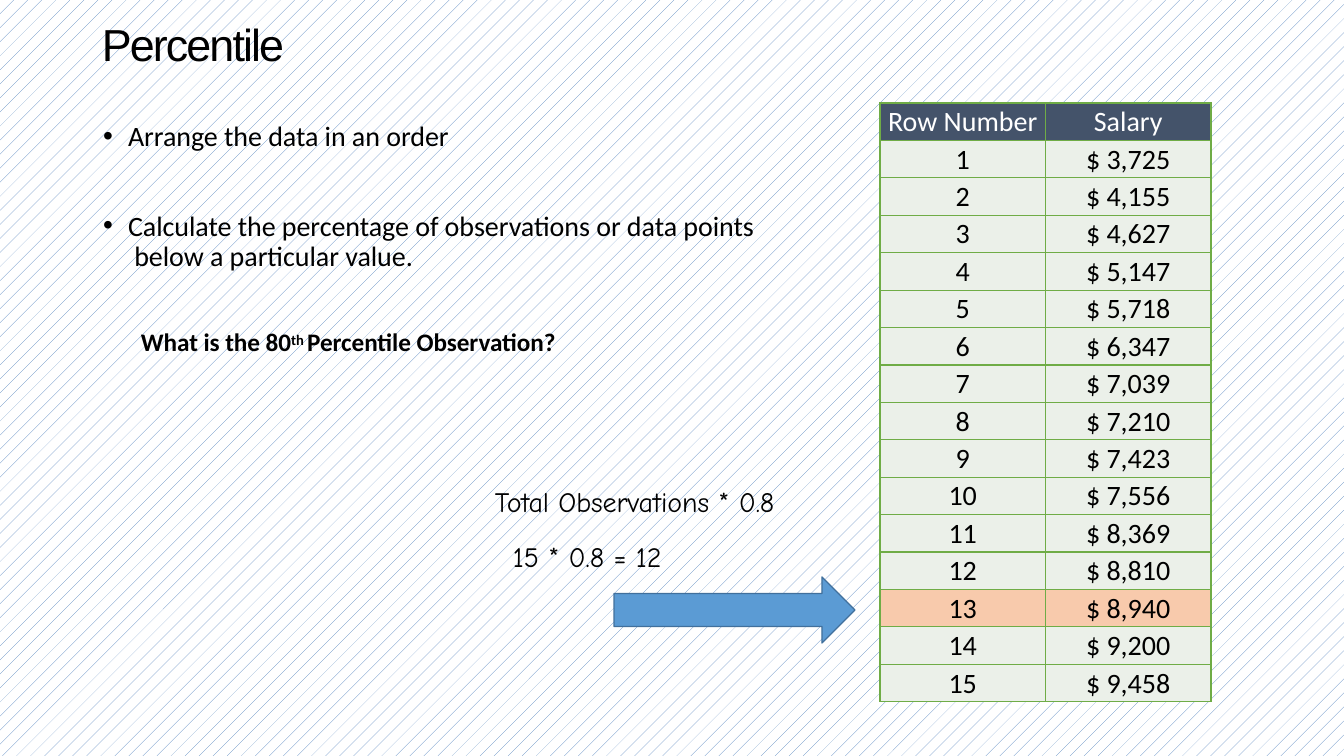
from dataclasses import dataclass

from lxml import etree
from pptx import Presentation
from pptx.dml.color import RGBColor
from pptx.enum.dml import MSO_PATTERN
from pptx.enum.shapes import MSO_SHAPE
from pptx.enum.text import MSO_ANCHOR, PP_ALIGN
from pptx.oxml.ns import qn
from pptx.util import Pt

EMU_PER_PX = 914400 / 100.8
LEFT, CENTER = PP_ALIGN.LEFT, PP_ALIGN.CENTER
TOP = MSO_ANCHOR.TOP
RIGHT_ARROW = MSO_SHAPE.RIGHT_ARROW
DOTS = MSO_PATTERN.PERCENT_5
TITLE_ONLY = 5
TIGHT = -5
COLORS = {
    "black": "000000", "white": "FFFFFF", "dots": "4F81BD",
    "header": "44536A", "row": "EBF0E9", "highlight": "F8CAAC",
    "border": "6FAC46", "arrow": "5B9BD4", "arrow_line": "41709C",
}
HEADINGS = ("Row Number", "Salary")
SALARIES = (3725, 4155, 4627, 5147, 5718, 6347, 7039, 7210,
            7423, 7556, 8369, 8810, 8940, 9200, 9458)
HIGHLIGHTED_ROW = 13


@dataclass(frozen=True)
class Line:
    """One paragraph; each span is a text and its baseline shift in percent."""
    spans: tuple[tuple[str, int], ...]
    size: int
    font: str
    before: float = 1
    margin: int = 0
    hanging: int = 0
    spacing: float | None = None
    bold: bool = False
    tracking: int = TIGHT


@dataclass(frozen=True)
class Block:
    """A text box and its paragraphs."""
    left: int
    top: int
    width: int
    height: int
    lines: tuple[Line, ...]


TITLE = Block(101, 16, 183, 56, (
    Line((("Percentile", 0),), 32, "Arial", margin=1, tracking=-140),
))
BLOCKS = (
    Block(100, 118, 660, 242, (
        Line((("Arrange the data in an order", 0),), 20, "Calibri", 1.1, 28, 25),
        Line((("Calculate the percentage of observations or data points\v below a particular value.", 0),),
             20, "Calibri", 42, 28, 25, 21.6),
        Line((("What is the 80", 0), ("th ", 25), ("Percentile Observation?", 0)),
             18, "Calibri", 39, 41, bold=True),
    )),
    Block(494, 483, 327, 93, (
        Line((("Total Observations * 0.8", 0),), 20, "Comic Neue", 1.1, 1),
        Line((("15 * 0.8 = 12", 0),), 20, "Comic Neue", 15.8, 19),
    )),
)


def px(length: float) -> int:
    """Turn px into EMU."""
    return round(length * EMU_PER_PX)


def color(name: str) -> RGBColor:
    """Look up a named colour."""
    return RGBColor.from_string(COLORS[name])


def style_font(font, name: str, size: int, shade: str, bold: bool = False) -> None:
    """Set the typeface, size, colour and weight."""
    font.name, font.size, font.bold = name, Pt(size), bold
    font.color.rgb = color(shade)


def write_line(para, line: Line) -> None:
    """Fill and format one paragraph."""
    para.alignment = LEFT
    para.space_before = Pt(line.before)
    if line.spacing:
        para.line_spacing = Pt(line.spacing)
    properties = para._p.get_or_add_pPr()
    properties.set("marL", str(px(line.margin)))
    properties.set("indent", str(-px(line.hanging)))
    if line.hanging:
        etree.SubElement(properties, qn("a:buFont"), typeface="Arial")
        etree.SubElement(properties, qn("a:buChar"), char="•")
    style_font(para.font, line.font, line.size, "black", line.bold)
    for text, baseline in line.spans:
        for index, part in enumerate(text.split("\v")):
            if index:
                para.add_line_break()
            span = para.add_run()
            span.text = part
            span_properties = span._r.get_or_add_rPr()
            span_properties.set("spc", str(line.tracking))
            if baseline:
                span_properties.set("baseline", str(baseline * 1000))


def fill_block(box, block: Block, wrap: bool = True) -> None:
    """Place a text shape and write its paragraphs."""
    box.left, box.top = px(block.left), px(block.top)
    box.width, box.height = px(block.width), px(block.height)
    frame = box.text_frame
    frame.word_wrap = wrap
    frame.vertical_anchor = TOP
    frame.margin_left = frame.margin_right = frame.margin_bottom = 0
    frame.margin_top = px(1)
    for index, line in enumerate(block.lines):
        para = frame.add_paragraph() if index else frame.paragraphs[0]
        write_line(para, line)


def style_cell(cell, text: str, fill: str, shade: str) -> None:
    """Write a table cell with its fill and borders."""
    cell.margin_left = cell.margin_right = cell.margin_bottom = 0
    cell.margin_top = px(2)
    cell.text = text
    para = cell.text_frame.paragraphs[0]
    para.alignment = CENTER
    para.space_before = Pt(1.5)
    style_font(para.font, "Calibri", 20, shade)
    properties = cell._tc.get_or_add_tcPr()
    for side in ("a:lnL", "a:lnR", "a:lnT", "a:lnB"):
        border = etree.SubElement(properties, qn(side), w=str(Pt(1)))
        solid = etree.SubElement(border, qn("a:solidFill"))
        etree.SubElement(solid, qn("a:srgbClr"), val=COLORS["border"])
    cell.fill.solid()
    cell.fill.fore_color.rgb = color(fill)


def add_salary_table(page) -> None:
    """Add the numbered salary table."""
    rows = [HEADINGS] + [(str(number), f"$ {salary:,}")
                         for number, salary in enumerate(SALARIES, 1)]
    table = page.shapes.add_table(len(rows), len(HEADINGS), px(880), px(103),
                                  px(331), px(599)).table
    table.first_row = table.horz_banding = False
    for number, texts in enumerate(rows):
        fill = {0: "header", HIGHLIGHTED_ROW: "highlight"}.get(number, "row")
        for column, text in enumerate(texts):
            style_cell(table.cell(number, column), text, fill,
                       "black" if number else "white")


def add_arrow(page) -> None:
    """Add the arrow pointing at the highlighted row."""
    arrow = page.shapes.add_shape(RIGHT_ARROW, px(614), px(577), px(241), px(66))
    arrow.shadow.inherit = False
    arrow.fill.solid()
    arrow.fill.fore_color.rgb = color("arrow")
    arrow.line.color.rgb = color("arrow_line")
    arrow.line.width = Pt(0.96)


def main() -> None:
    """Build and save the slide."""
    deck = Presentation()
    deck.slide_width, deck.slide_height = px(1344), px(756)
    page = deck.slides.add_slide(deck.slide_layouts[TITLE_ONLY])
    backdrop = page.background.fill
    backdrop.patterned()
    backdrop.pattern = DOTS
    backdrop.fore_color.rgb = color("dots")
    backdrop.back_color.rgb = color("white")
    fill_block(page.shapes.title, TITLE, wrap=False)
    add_salary_table(page)
    add_arrow(page)
    for block in BLOCKS:
        fill_block(page.shapes.add_textbox(0, 0, 0, 0), block)
    deck.save("out.pptx")


if __name__ == "__main__":
    main()
